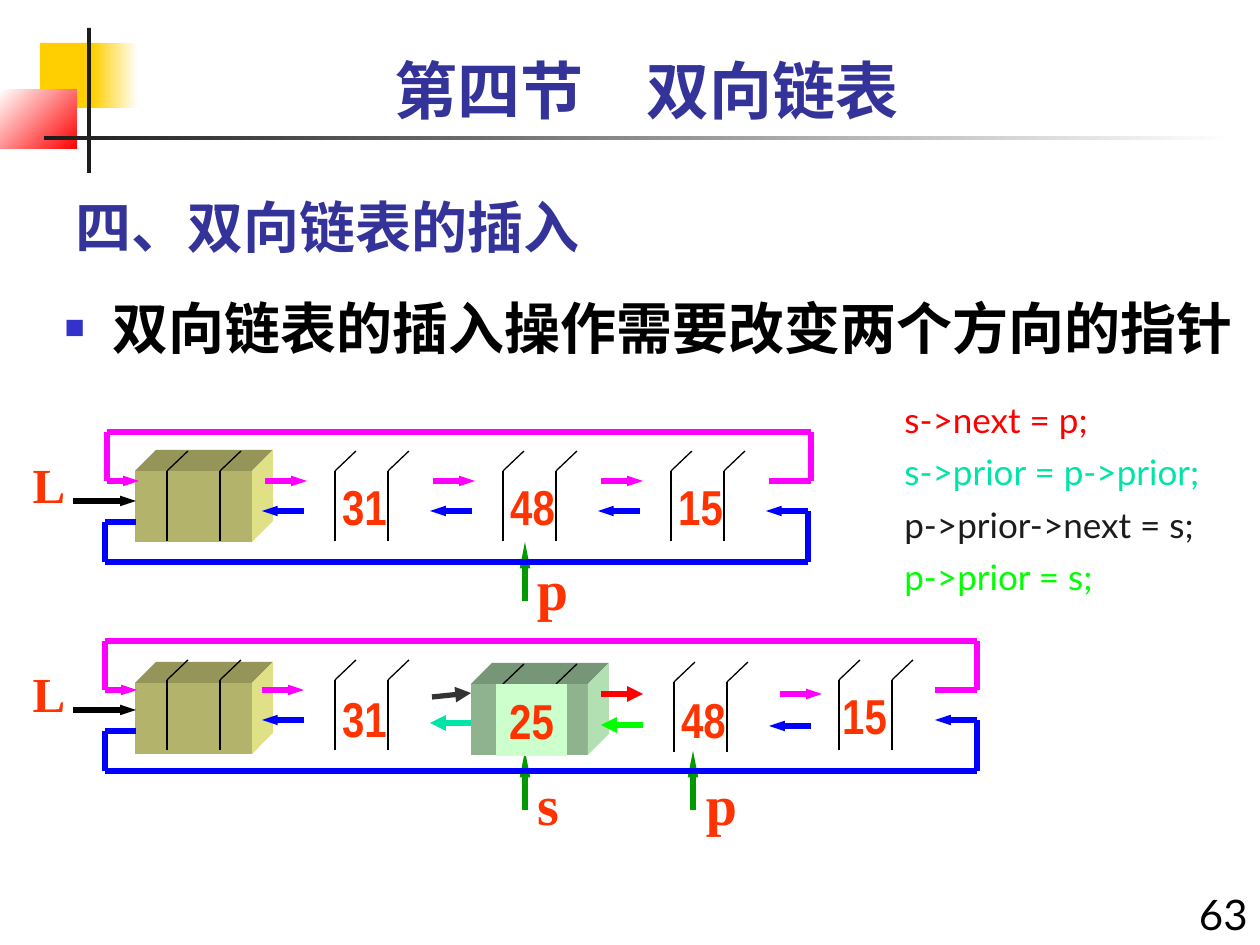
"""Build the slide on inserting a node into a doubly linked list."""
import dataclasses
import itertools
import typing

import lxml.etree
import pptx
import pptx.dml.color
import pptx.enum.shapes
import pptx.enum.text
import pptx.oxml.ns
import pptx.util

SCALE = 914400 / 126
HAN = "Noto Sans CJK SC"
NARROW, ROMAN, LATO = "Arial Narrow", "Times New Roman", "Lato"
PINK, BLUE, GREEN, BLACK, INK = "FF00FF", "0000FF", "009900", "000000", "1C1C1C"
NAVY, LABEL = "333399", "FF3300"
ALIGN = pptx.enum.text.PP_ALIGN
ANCHOR = pptx.enum.text.MSO_ANCHOR
Point = tuple[int, int]
Box = tuple[int, int, int, int]


@dataclasses.dataclass
class Style:
    size: int
    font: str
    color: str
    bold: bool = True


@dataclasses.dataclass
class Node:
    left: int
    top: int
    text: str = ""
    box: Point = (0, 0)


@dataclasses.dataclass
class Arrow:
    start: Point
    end: Point
    color: str
    width: str = "sm"
    length: str = "med"


@dataclasses.dataclass
class Band:
    box: Box
    colors: tuple[str, ...]
    angle: int = 0


@dataclasses.dataclass
class Ring:
    shift: int
    pink: Point
    blue: Point


def px(value: float) -> int:
    """Turn px into EMU."""
    return pptx.util.Emu(round(value * SCALE))


def rgb(color: str) -> pptx.dml.color.RGBColor:
    """Turn a hex string into a colour."""
    return pptx.dml.color.RGBColor.from_string(color)


def sub(parent: typing.Any, tag: str, **attrs: str) -> typing.Any:
    """Append a DrawingML child element."""
    return lxml.etree.SubElement(parent, pptx.oxml.ns.qn(tag), attrs)


def put(shape: typing.Any, box: Box) -> None:
    """Move and size a shape."""
    shape.left, shape.top, shape.width, shape.height = map(px, box)


def paint(shape: typing.Any, color: str) -> None:
    """Give a shape a plain fill without line or shadow."""
    shape.shadow.inherit = False
    shape.fill.solid()
    shape.fill.fore_color.rgb = rgb(color)
    shape.line.fill.background()


def write(para: typing.Any, text: str, style: Style) -> None:
    """Add one styled run."""
    run = para.add_run()
    run.text = text
    font = run.font
    font.size, font.name, font.bold = pptx.util.Pt(style.size), style.font, style.bold
    font.color.rgb = rgb(style.color)
    if not text.isascii():
        run.font._element.find(pptx.oxml.ns.qn("a:latin")).addnext(
            lxml.etree.Element(pptx.oxml.ns.qn("a:ea"), typeface=HAN))


def label(slide: typing.Any, box: Box, text: str, style: Style,
          align: typing.Any = ALIGN.CENTER, wrap: bool = False) -> typing.Any:
    """Add a one-line text box."""
    shape = slide.shapes.add_textbox(*map(px, box))
    frame = shape.text_frame
    frame.word_wrap = wrap
    frame.vertical_anchor = ANCHOR.TOP if wrap else ANCHOR.MIDDLE
    frame.paragraphs[0].alignment = align
    write(frame.paragraphs[0], text, style)
    return shape


def line(slide: typing.Any, start: Point, end: Point, color: str, width: float) -> typing.Any:
    """Add a straight connector."""
    link = slide.shapes.add_connector(
        pptx.enum.shapes.MSO_CONNECTOR.STRAIGHT, *map(px, start + end))
    link.line.color.rgb = rgb(color)
    link.line.width = pptx.util.Pt(width)
    sub(link._element.spPr, "a:effectLst")
    return link


def point(slide: typing.Any, arrow: Arrow) -> None:
    """Add a line with a head at its end."""
    link = line(slide, arrow.start, arrow.end, arrow.color, 3)
    sub(link.line._get_or_add_ln(), "a:tailEnd", type="triangle",
        w=arrow.width, len=arrow.length)


def route(slide: typing.Any, points: list[Point], color: str) -> None:
    """Draw a bent path that ends in an arrow."""
    for start, end in itertools.pairwise(points[:-1]):
        line(slide, start, end, color, 3)
    point(slide, Arrow(points[-2], points[-1], color))


def block(slide: typing.Any, left: int, top: int, colors: tuple[str, ...]) -> None:
    """Draw a solid block from its front, top and side faces."""
    right, low, deep = left + 117, top + 71, 21
    faces = (
        [(left, top), (right, top), (right, low), (left, low)],
        [(left, top), (left + deep, top - deep), (right + deep, top - deep), (right, top)],
        [(right, top), (right + deep, top - deep), (right + deep, low - deep), (right, low)],
    )
    for face, color in zip(faces, colors):
        form = slide.shapes.build_freeform(*face[0], scale=SCALE)
        form.add_line_segments(face[1:], close=True)
        paint(form.convert_to_shape(), color)


def cell(slide: typing.Any, node: Node) -> None:
    """Draw the two slits of a node and its value."""
    for left in (node.left, node.left + 53):
        line(slide, (left, node.top), (left, node.top + 70), BLACK, 0.75)
        line(slide, (left, node.top), (left + 21, node.top - 20), BLACK, 0.75)
    if node.text:
        shape = label(slide, (*node.box, 71, 72), node.text, Style(28, NARROW, LABEL))
        if node.text == "25":
            shape.fill.solid()
            shape.fill.fore_color.rgb = rgb("CCFFCC")


def loop(slide: typing.Any, ring: Ring) -> None:
    """Draw the outer links, the head block and the list label."""
    y = ring.shift
    block(slide, 135, 471 + y + (3 if y else 0), ("B3B36B", "959559", "E0E086"))
    cell(slide, Node(167, 471 + y))
    label(slide, (20, 448 + y, 58, 72), "L", Style(28, ROMAN, LABEL))
    point(slide, Arrow((73, 501 + y), (136, 501 + y), BLACK))
    left, right = ring.pink
    route(slide, [(right - 42, 481 + y), (right, 481 + y), (right, 432 + y),
                  (left, 432 + y), (left, 481 + y), (left + 32, 481 + y)], PINK)
    left, right = ring.blue
    route(slide, [(136, 522 + y), (left, 522 + y), (left, 562 + y),
                  (right, 562 + y), (right, 511 + y), (right - 42, 511 + y)], BLUE)


def decor(slide: typing.Any) -> None:
    """Draw the corner squares and rules."""
    for band in (
        Band((40, 43, 61, 65), ("FFCF01",)),
        Band((93, 43, 45, 65), ("FFCF01", "FFFFFF")),
        Band((0, 90, 77, 59), ("FFFFFF", "FF0000"), 315),
        Band((87, 28, 4, 145), (INK,)),
        Band((44, 136, 1191, 4), (INK, "FFFFFF")),
    ):
        shape = slide.shapes.add_shape(
            pptx.enum.shapes.MSO_SHAPE.RECTANGLE, *map(px, band.box))
        paint(shape, band.colors[0])
        if len(band.colors) > 1:
            shape.fill.gradient()
            shape.fill.gradient_angle = band.angle
            for stop, color in zip(shape.fill.gradient_stops, band.colors):
                stop.color.rgb = rgb(color)


def words(slide: typing.Any) -> None:
    """Fill the placeholders and add the heading, page number and code."""
    title, body = slide.shapes.title, slide.placeholders[1]
    put(title, (63, 171, 788, 95))
    put(body, (52, 287, 1207, 210))
    for shape, text, style, anchor in (
        (title, "四、双向链表的插入", Style(32, HAN, NAVY), ANCHOR.BOTTOM),
        (body, "双向链表的插入操作需要改变两个方向的指针", Style(32, LATO, BLACK), ANCHOR.TOP),
    ):
        frame = shape.text_frame
        frame.auto_size = pptx.enum.text.MSO_AUTO_SIZE.NONE
        frame.vertical_anchor = anchor
        para = frame.paragraphs[0]
        para.alignment = ALIGN.LEFT
        write(para, text, style)
    props = para._p.get_or_add_pPr()
    props.set("marL", str(px(48)))
    props.set("indent", str(px(-48)))
    sub(sub(props, "a:buClr"), "a:srgbClr", val="3333CC")
    sub(props, "a:buSzPct", val="60000")
    sub(props, "a:buChar", char="■")
    para.space_before = pptx.util.Pt(0)
    label(slide, (63, 45, 1166, 88), "第四节　双向链表", Style(36, LATO, NAVY), wrap=True)
    label(slide, (1176, 882, 84, 63), "63", Style(24, LATO, BLACK, False), ALIGN.RIGHT, True)
    code = label(slide, (892, 392, 368, 219), "s->next = p;",
                 Style(20, LATO, "FF0000", False), ALIGN.LEFT, True)
    for text, color in (("s->prior = p->prior;", "00E4A8"),
                        ("p->prior->next = s;", INK), ("p->prior = s;", "00FF00")):
        para = code.text_frame.add_paragraph()
        para.space_before = pptx.util.Pt(6)
        write(para, text, Style(20, LATO, color, False))


def main() -> None:
    """Build and save the slide."""
    deck = pptx.Presentation()
    deck.slide_width, deck.slide_height = px(1260), px(945)
    slide = deck.slides.add_slide(deck.slide_layouts[1])
    decor(slide)
    words(slide)
    for left, top in ((525, 542), (525, 751), (693, 751)):
        point(slide, Arrow((left, top + 59), (left, top), GREEN, length="lg"))
    for ring in (Ring(0, (107, 811), (105, 808)), Ring(209, (105, 977), (105, 977))):
        loop(slide, ring)
    block(slide, 471, 684, ("8FB38F", "779577", "B3E0B3"))
    for node in (
        *(Node(335 + 168 * i, 471, text, (329 + 168 * i, 470))
          for i, text in enumerate(("31", "48", "15"))),
        Node(335, 680, "31", (329, 682)), Node(503, 684, "25", (496, 684)),
        Node(674, 682, "48", (668, 683)), Node(839, 680, "15", (829, 679)),
    ):
        cell(slide, node)
    for left in (265, 433, 601):
        point(slide, Arrow((left, 481), (left + 42, 481), PINK))
        point(slide, Arrow((left + 39, 511), (left - 3, 511), BLUE))
    for arrow in (
        Arrow((262, 690), (304, 690), PINK), Arrow((304, 720), (262, 720), BLUE),
        Arrow((780, 694), (822, 694), PINK), Arrow((811, 726), (769, 726), BLUE),
        Arrow((601, 694), (643, 694), "FF0000", "med"),
        Arrow((643, 725), (601, 725), "00FF00", "med"),
        Arrow((432, 697), (471, 693), "333333", "med"),
        Arrow((471, 723), (430, 723), "00E4A8", "med"),
    ):
        point(slide, arrow)
    for text, box in (("p", (524, 549, 57, 79)), ("s", (524, 764, 48, 79)),
                      ("p", (693, 764, 57, 79))):
        label(slide, box, text, Style(32, ROMAN, LABEL))
    deck.save("out.pptx")


if __name__ == "__main__":
    main()
